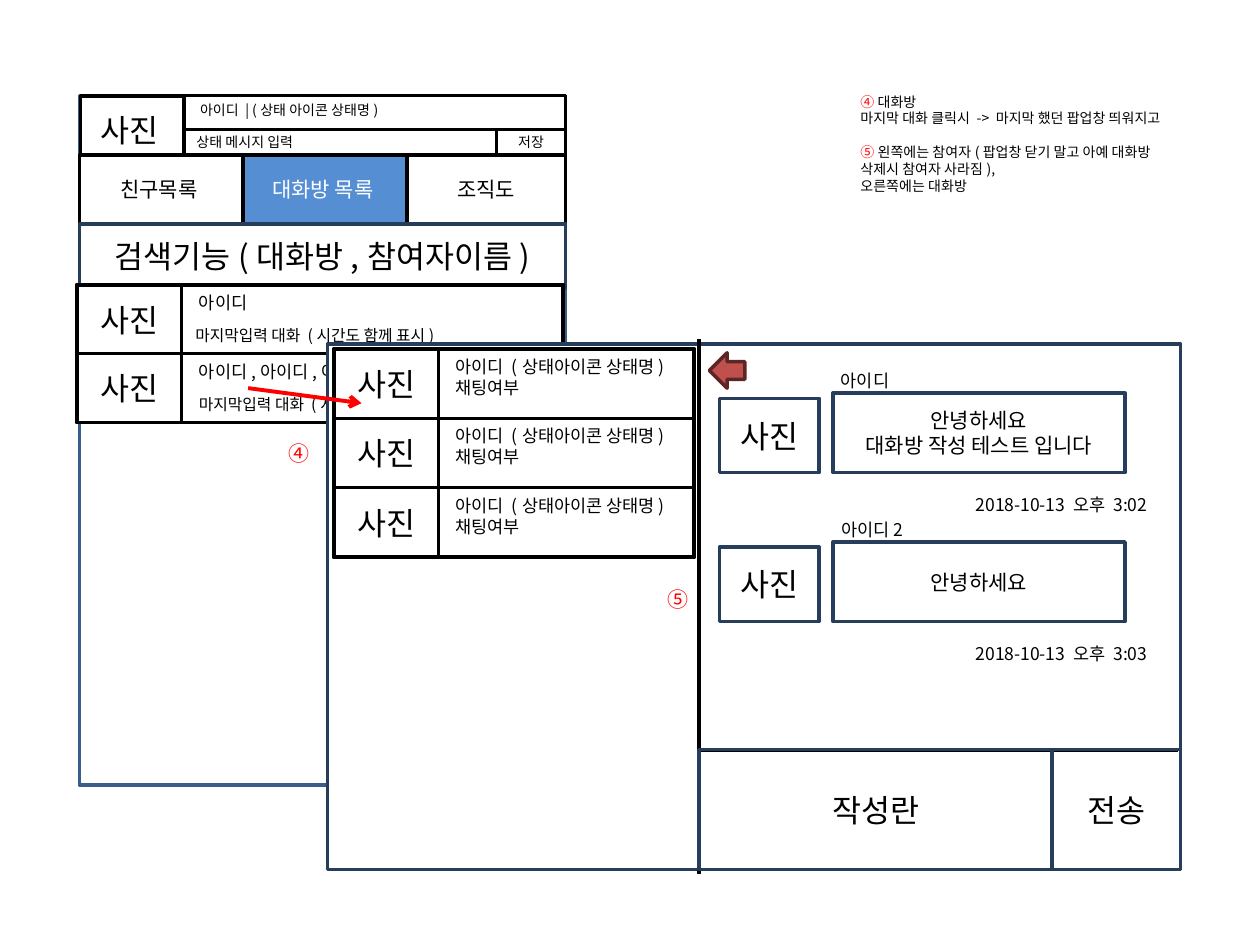
from lxml.etree import SubElement
from pptx import Presentation
from pptx.dml.color import RGBColor
from pptx.enum.shapes import MSO_CONNECTOR, MSO_SHAPE
from pptx.enum.text import MSO_ANCHOR, MSO_AUTO_SIZE, PP_ALIGN
from pptx.oxml.ns import qn
from pptx.util import Pt

FONT = "Noto Sans CJK KR"
COLORS = {
    "black": "000000", "white": "FFFFFF", "navy": "263E5B", "frame": "395E8A",
    "tab": "568ED4", "red": "FF0000", "back": "C0504D", "back_line": "5B2624",
}
PHOTO = "사진"
PHOTO_W = 59.8


def rgb(name):
    return RGBColor.from_string(COLORS[name])


def write(frame, lines, size, color="black", align=PP_ALIGN.LEFT):
    """Fill a text frame; a line is a string or a list of (text, color) runs."""
    for i, line in enumerate(lines):
        paragraph = frame.paragraphs[0] if i == 0 else frame.add_paragraph()
        paragraph.alignment = align
        paragraph.line_spacing = Pt(size * 1.2)
        font = paragraph.font
        font.name, font.size = FONT, Pt(size)
        font.color.rgb = rgb(color)
        defaults = paragraph._p.pPr.find(qn("a:defRPr"))
        SubElement(defaults, qn("a:ea")).set("typeface", FONT)
        if isinstance(line, str):
            paragraph.add_run().text = line
            continue
        for words, run_color in line:
            run = paragraph.add_run()
            run.text = words
            run.font.color.rgb = rgb(run_color)


def add_box(slide, x, y, w, h, lines=(), size=18, color="black", fill="white",
            line="black", align=PP_ALIGN.CENTER, preset=MSO_SHAPE.RECTANGLE):
    box = slide.shapes.add_shape(preset, Pt(x), Pt(y), Pt(w), Pt(h))
    box.shadow.inherit = False
    if fill:
        box.fill.solid()
        box.fill.fore_color.rgb = rgb(fill)
    else:
        box.fill.background()
    box.line.color.rgb = rgb(line)
    box.line.width = Pt(2)
    box.text_frame.vertical_anchor = MSO_ANCHOR.MIDDLE
    write(box.text_frame, lines, size, color, align)
    return box


def add_label(slide, x, y, w, h, lines, size, color="black", wrap=True):
    label = slide.shapes.add_textbox(Pt(x), Pt(y), Pt(w), Pt(h))
    label.text_frame.word_wrap = wrap
    label.text_frame.auto_size = MSO_AUTO_SIZE.SHAPE_TO_FIT_TEXT
    write(label.text_frame, lines, size, color)
    return label


def add_line(slide, x1, y1, x2, y2, color="black", arrow=False):
    line = slide.shapes.add_connector(
        MSO_CONNECTOR.STRAIGHT, Pt(x1), Pt(y1), Pt(x2), Pt(y2))
    line.line.color.rgb = rgb(color)
    line.line.width = Pt(2.25)
    if arrow:
        SubElement(line.line._get_or_add_ln(), qn("a:tailEnd")).set("type", "arrow")
    SubElement(line._element.spPr, qn("a:effectLst"))


def photo_row(slide, x, y, w, h):
    """A framed row with a photo cell and an empty cell beside it."""
    add_box(slide, x, y, w, h)
    add_box(slide, x, y, PHOTO_W, h, [PHOTO])
    add_box(slide, x + PHOTO_W, y, w - PHOTO_W, h)


def room_list(slide, x, y, w, h):
    add_box(slide, x, y, w, h, line="frame")

    # Own profile
    cell_x, cell_w = x + PHOTO_W, w - PHOTO_W
    add_box(slide, x + 0.7, y, PHOTO_W - 0.7, 34.6)
    add_label(slide, x + 5, y + 5, 57, 29, [PHOTO], 18)
    add_box(slide, cell_x, y, cell_w, 19.4)
    add_label(slide, cell_x + 2, y, 207, 17, ["아이디 | (상태 아이콘 상태명)"], 8)
    add_box(slide, cell_x, y + 19.4, cell_w, 14.4, ["상태 메시지 입력"], 8,
            align=PP_ALIGN.LEFT)
    add_box(slide, x + w - 39.6, y + 19.4, 39.6, 14.4, ["저장"], 8)

    # Tabs and search
    tab_w = 93.6
    tabs = [("친구목록 ", tab_w, "white", "black"),
            ("대화방 목록 ", tab_w, "tab", "white"),
            ("조직도", w - 2 * tab_w, "white", "black")]
    for i, (name, width, fill, color) in enumerate(tabs):
        add_box(slide, x + i * tab_w, y + 33.8, width, 39.6, [name], 12, color, fill)
    add_box(slide, x, y + 73.4, w, 36.7, ["검색기능(대화방,참여자이름)"], line="navy")

    # Rooms
    rooms = [("아이디", 60.5), ("아이디,아이디,아이디 .......8", 62.6)]
    for i, (members, message_x) in enumerate(rooms):
        row_x, row_y = x - 1.4, y + 108 + i * 39.2
        photo_row(slide, row_x, row_y, w, 39.6)
        add_label(slide, row_x + 62.6, row_y + 0.7, 170, 32, [members], 10)
        add_label(slide, row_x + message_x, row_y + 20.2, 199.4, 18,
                  ["마지막입력 대화 (시간도 함께 표시)"], 9)


def chat_popup(slide, x, y, w, h):
    add_box(slide, x, y, w, h, line="navy")
    add_line(slide, x + 212.4, y - 2.9, x + 212.4, y + h + 2.9)
    add_line(slide, x + 211, y + 231.8, x + w - 1.4, y + 231.8)

    # Participants
    for i in range(3):
        row_x, row_y = x + 3.6, y + 2.9 + i * 39.6
        photo_row(slide, row_x, row_y, 205.9, 39.6)
        add_label(slide, row_x + 62.6, row_y + 0.4, 170, 43,
                  ["아이디 (상태아이콘 상태명)", "채팅여부"], 10)


def conversation(slide, x, y, w, h):
    # Input area
    input_y, send_w = y + 231.8, 73.4
    input_h = y + h - input_y
    add_box(slide, x + w - send_w, input_y, send_w, input_h, ["전송"],
            fill=None, line="navy")
    add_box(slide, x, input_y, w - send_w, input_h, ["작성란"], fill=None, line="navy")

    # Collapse arrow
    arrow = add_box(slide, x + 5.8, y + 5, 20.2, 20.2, fill="back", line="back_line",
                    preset=MSO_SHAPE.RIGHT_ARROW)
    arrow.rotation = 180

    # Messages
    messages = [
        ("아이디", 48.2, ["안녕하세요", "대화방 작성 테스트 입니다"], "2018-10-13 오후 3:02"),
        ("아이디2", 56.9, ["안녕하세요"], "2018-10-13 오후 3:03"),
    ]
    for i, (sender, sender_w, lines, time) in enumerate(messages):
        top = y + 13.7 + i * 85
        add_box(slide, x + 11.5, top + 17.3, 57, 42.5, [PHOTO], fill=None, line="navy")
        add_box(slide, x + 70.6, top, sender_w, 14.4, [sender], 10,
                fill=None, line="white")
        add_box(slide, x + 76.3, top + 14.4, 167, 45.4, lines, 12,
                fill=None, line="navy")
        add_box(slide, x + 147.6, top + 68.4, 118.8, 19.4, [time], 10,
                fill=None, line="white")


def notes(slide, x, y, w, h):
    lines = [
        [("④", "red"), (" 대화방", "black")],
        "마지막 대화 클릭시 -> 마지막 했던 팝업창 띄워지고",
        [("⑤", "red"),
         (" 왼쪽에는 참여자(팝업창 닫기 말고 아예 대화방 삭제시 참여자 사라짐),", "black")],
        "오른쪽에는 대화방",
    ]
    label = add_label(slide, x, y, w, h, lines, 8)
    label.text_frame.paragraphs[2].space_before = Pt(9.6)


def main():
    deck = Presentation()
    deck.slide_width, deck.slide_height = Pt(720), Pt(540)
    slide = deck.slides.add_slide(deck.slide_layouts[6])

    room_list(slide, 45.4, 54.7, 277.9, 393.8)
    chat_popup(slide, 187.2, 196.6, 487.4, 300.2)
    add_line(slide, 141.8, 221.8, 206.6, 230.4, "red", arrow=True)
    conversation(slide, 399.6, 196.6, 275, 300.2)

    # Step numbers and their explanation
    for number, x, y in [("⑤", 374.4, 331.9), ("④", 157.7, 248.4)]:
        add_label(slide, x, y, 25.9, 21.6, [number], 12, "red", wrap=False)
    notes(slide, 484.6, 49.7, 198.7, 64.8)

    deck.save("out.pptx")


if __name__ == "__main__":
    main()
